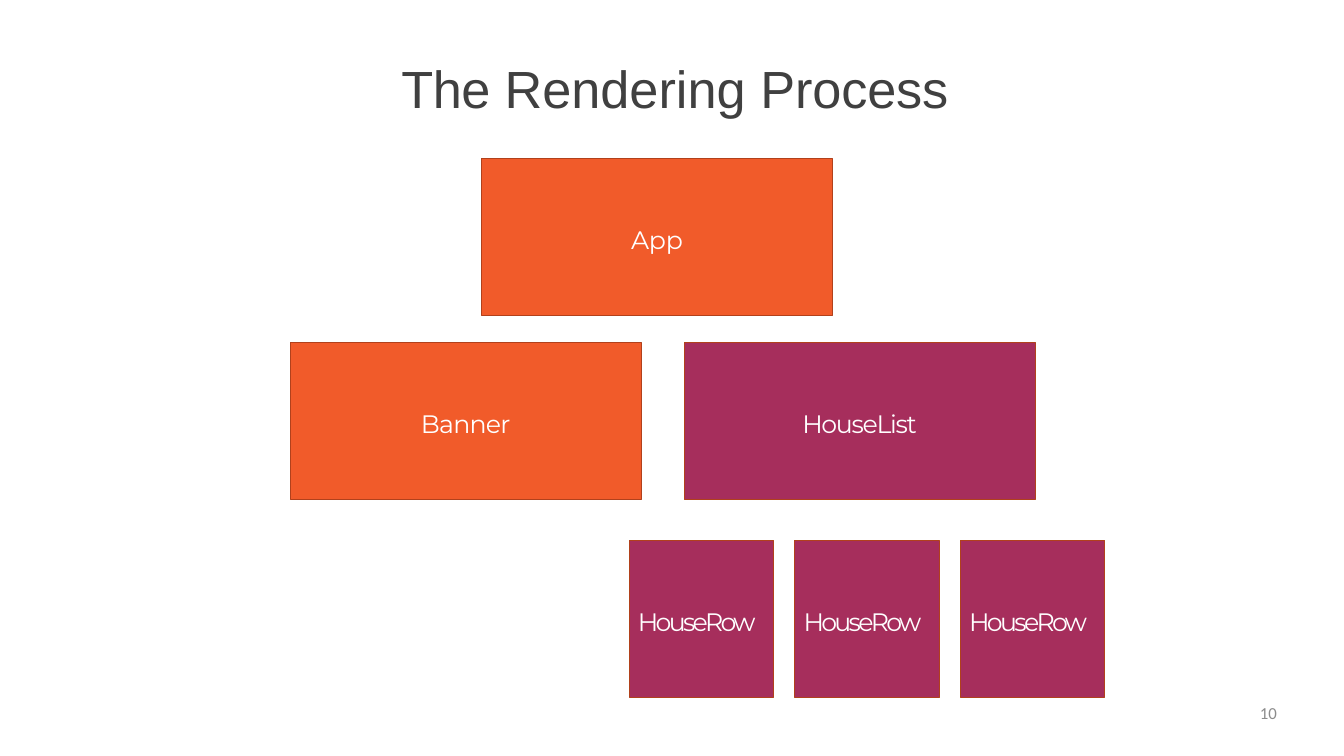
from pptx import Presentation, util as u
from pptx.dml.color import RGBColor
from pptx.enum import shapes, text

Pt = u.Pt
COLORS = {
    "title": "404040",
    "orange": "F15B2A",
    "plum": "A62E5C",
    "outline": "B1411C",
    "label": "FFFFFF",
    "number": "8C8C8C",
}
BOX_WIDTH, ROW_BOX_WIDTH, BOX_HEIGHT = 376, 154.8, 168


def color(name):
    return RGBColor.from_string(COLORS[name])


def set_margins(frame, left=0, top=0):
    frame.margin_left, frame.margin_top = Pt(left), Pt(top)
    frame.margin_right = frame.margin_bottom = 0
    frame.word_wrap = True


def add_run(paragraph, words, font_name, size, color_name, spacing=0):
    """Add a run; spacing is the letter spacing in points."""
    run = paragraph.add_run()
    run.text = words
    run.font.name = font_name
    run.font.size = Pt(size)
    run.font.color.rgb = color(color_name)
    if spacing:
        run.font._element.set("spc", str(round(spacing * 100)))


def add_text_box(slide, left, top, width, height, alignment, anchor):
    """Add an empty text box and return its first paragraph."""
    shape = slide.shapes.add_textbox(Pt(left), Pt(top), Pt(width), Pt(height))
    frame = shape.text_frame
    set_margins(frame)
    frame.vertical_anchor = anchor
    paragraph = frame.paragraphs[0]
    paragraph.alignment = alignment
    return paragraph


def add_component(slide, label, left, top, width, fill, spacing,
                  alignment=text.PP_ALIGN.CENTER, indent=0):
    shape = slide.shapes.add_shape(shapes.MSO_SHAPE.RECTANGLE, Pt(left), Pt(top),
                                   Pt(width), Pt(BOX_HEIGHT))
    shape.shadow.inherit = False
    shape.fill.solid()
    shape.fill.fore_color.rgb = color(fill)
    shape.line.color.rgb = color("outline")
    shape.line.width = Pt(1)
    frame = shape.text_frame
    set_margins(frame, left=indent, top=6)
    frame.vertical_anchor = text.MSO_ANCHOR.MIDDLE
    paragraph = frame.paragraphs[0]
    paragraph.alignment = alignment
    add_run(paragraph, label, "Montserrat", 27, "label", spacing)


def main():
    presentation = Presentation()
    presentation.slide_width, presentation.slide_height = Pt(1440), Pt(810)
    slide = presentation.slides.add_slide(presentation.slide_layouts[6])

    title = add_text_box(slide, 430, 59, 745, 69, text.PP_ALIGN.LEFT,
                         text.MSO_ANCHOR.BOTTOM)
    for words, spacing in (("The ", -0.5), ("Rendering ", 0), ("Process", -0.2)):
        add_run(title, words, "Arial", 56, "title", spacing)

    for label, left, top, fill, spacing in (
        ("App", 516, 170, "orange", -0.2),
        ("Banner", 311, 367, "orange", -0.8),
        ("HouseList", 733, 367, "plum", -1.4),
    ):
        add_component(slide, label, left, top, BOX_WIDTH, fill, spacing)
    for index in range(3):
        add_component(slide, "HouseRow", 674 + index * 177.5, 579, ROW_BOX_WIDTH,
                      "plum", -2.9, text.PP_ALIGN.LEFT, indent=9.4)

    number = add_text_box(slide, 1037, 753, 331, 40, text.PP_ALIGN.RIGHT,
                          text.MSO_ANCHOR.TOP)
    add_run(number, "10", "Calibri", 18, "number")
    presentation.save("out.pptx")


if __name__ == "__main__":
    main()
